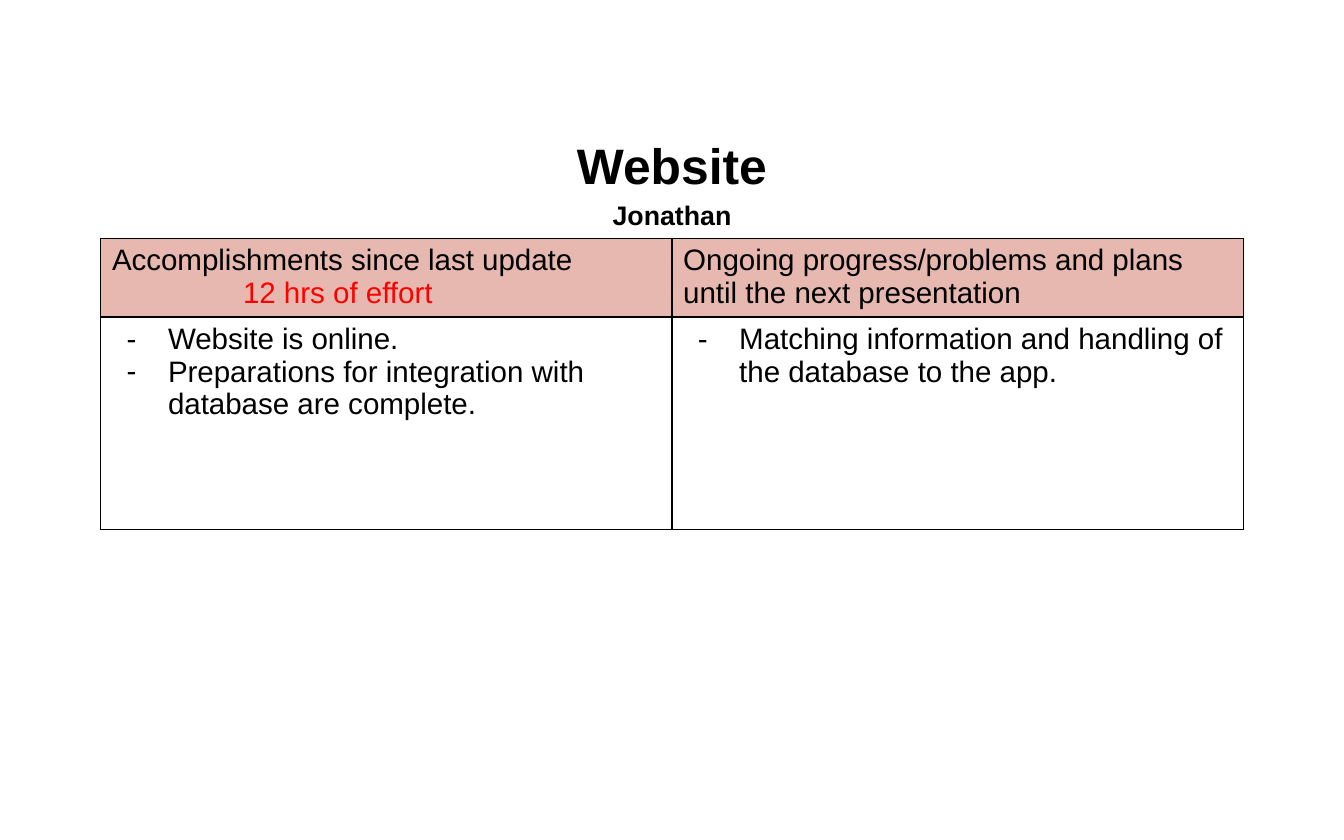
from dataclasses import dataclass

from lxml import etree
from pptx import Presentation
from pptx.dml.color import RGBColor
from pptx.enum.text import MSO_ANCHOR, MSO_AUTO_SIZE, PP_ALIGN
from pptx.oxml.ns import qn
from pptx.util import Inches, Pt

CENTER = PP_ALIGN.CENTER
MIDDLE = MSO_ANCHOR.MIDDLE
NO_AUTOFIT = MSO_AUTO_SIZE.NONE


@dataclass(frozen=True)
class Theme:
    font: str = "Arial"
    text: str = "000000"
    accent: str = "FF0000"
    header: str = "E6B8AF"
    border: str = "000000"
    title_size: float = 32
    name_size: float = 17.2
    table_size: float = 19


THEME = Theme()

HEADERS = [
    [("Accomplishments since last update", {}),
     ("12 hrs of effort", {"color": THEME.accent, "left": 1.17})],
    [("Ongoing progress/problems and plans until the next presentation", {})],
]
LIST = {"left": 0.5, "hanging": 0.37, "bullet": "-"}
BODIES = [
    [("Website is online.", LIST),
     ("Preparations for integration with database are complete.", LIST)],
    [("Matching information and handling of the database to the app.", LIST)],
]


def write(p, text, size=THEME.table_size, color=THEME.text, bold=False,
          align=None, spacing=None, left=0, hanging=0, bullet=None):
    """Fill one paragraph with formatted text."""
    p.alignment = align
    p.line_spacing = spacing
    pPr = p._p.get_or_add_pPr()
    if left:
        pPr.set("marL", str(Inches(left)))
        pPr.set("indent", str(-Inches(hanging)))
    if bullet:
        clr = etree.SubElement(pPr, qn("a:buClr"))
        etree.SubElement(clr, qn("a:srgbClr"), val=color)
        etree.SubElement(pPr, qn("a:buFont"), typeface=THEME.font)
        etree.SubElement(pPr, qn("a:buChar"), char=bullet)
    r = p.add_run()
    r.text = text
    r.font.name = THEME.font
    r.font.size = Pt(size)
    r.font.bold = bold
    r.font.color.rgb = RGBColor.from_string(color)


def write_all(tf, items):
    for i, (text, style) in enumerate(items):
        write(tf.add_paragraph() if i else tf.paragraphs[0], text, **style)


def set_borders(cell, width=1):
    tcPr = cell._tc.get_or_add_tcPr()
    for side in ("lnL", "lnR", "lnT", "lnB"):
        ln = etree.SubElement(tcPr, qn(f"a:{side}"), w=str(Pt(width)))
        fill = etree.SubElement(ln, qn("a:solidFill"))
        etree.SubElement(fill, qn("a:srgbClr"), val=THEME.border)


def add_title(s, x, y, w, h):
    """Topic with the presenter's name below it."""
    sp = s.shapes.title
    sp.left, sp.top, sp.width, sp.height = map(Inches, (x, y, w, h))
    tf = sp.text_frame
    tf.auto_size = NO_AUTOFIT
    tf.word_wrap = True
    tf.vertical_anchor = MIDDLE
    style = {"bold": True, "align": CENTER, "spacing": 1.15}
    write_all(tf, [("Website", {"size": THEME.title_size, **style}),
                   ("Jonathan", {"size": THEME.name_size, **style})])


def add_status_table(s, x, y, w, header_h, body_h):
    """Two equal columns: what is done, and what comes next."""
    rows = [HEADERS, BODIES]
    frame = s.shapes.add_table(len(rows), len(HEADERS), Inches(x), Inches(y),
                               Inches(w), Inches(header_h + body_h))
    table = frame.table
    table.first_row = False
    table.horz_banding = False
    for col in table.columns:
        col.width = Inches(w / len(HEADERS))
    for row, height in zip(table.rows, (header_h, body_h)):
        row.height = Inches(height)

    for i, contents in enumerate(rows):
        for j, items in enumerate(contents):
            cell = table.cell(i, j)
            set_borders(cell)
            if i == 0:
                cell.fill.solid()
                cell.fill.fore_color.rgb = RGBColor.from_string(THEME.header)
            else:
                cell.fill.background()
            write_all(cell.text_frame, items)


def main():
    prs = Presentation()
    prs.slide_width, prs.slide_height = Inches(12), Inches(7.5)
    s = prs.slides.add_slide(prs.slide_layouts[5])
    add_title(s, 0.6, 1.15, 10.8, 0.88)
    add_status_table(s, 0.9, 2.13, 10.2, header_h=0.7, body_h=1.9)
    prs.save("out.pptx")


if __name__ == "__main__":
    main()
